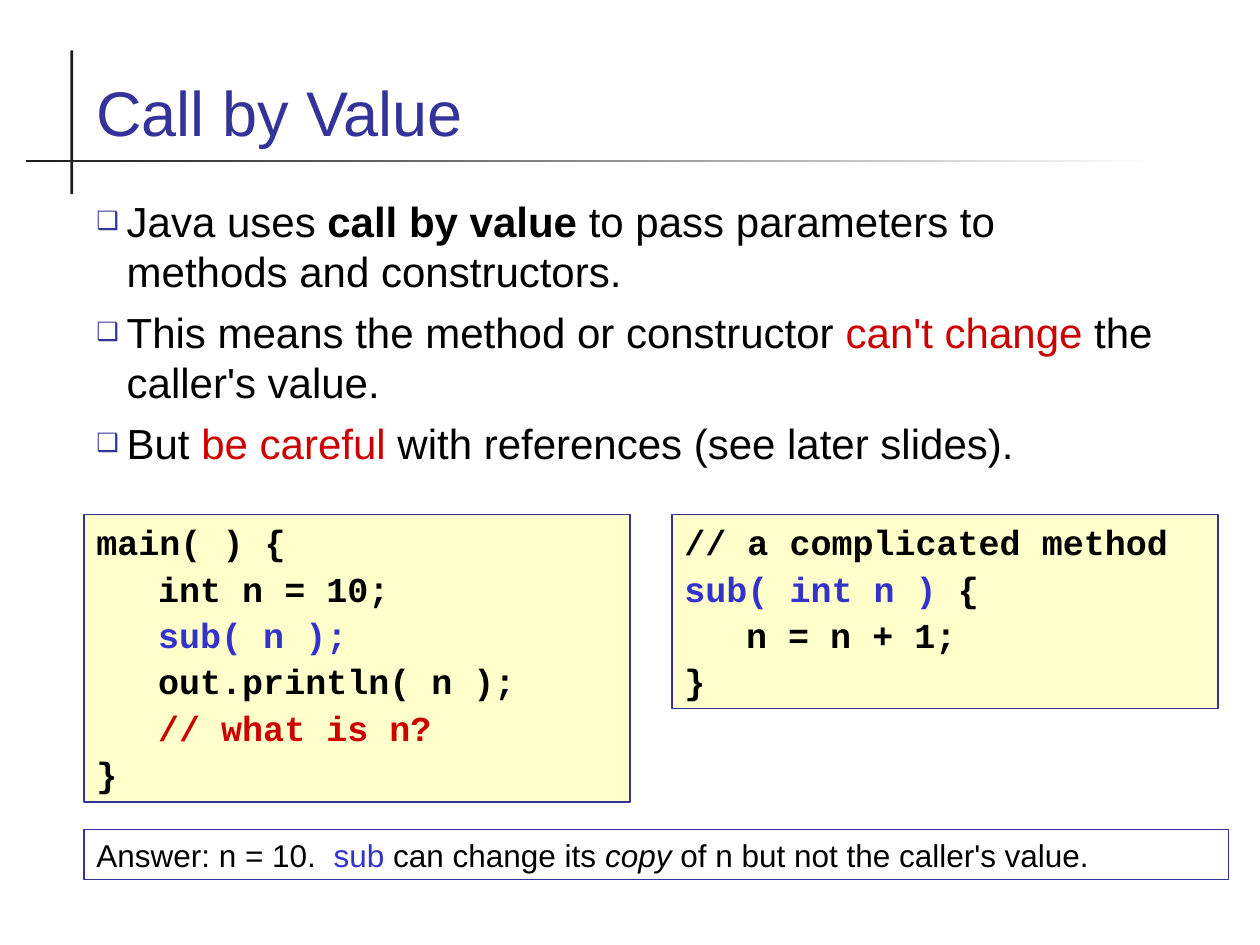
from lxml.etree import SubElement
from pptx import Presentation
from pptx.dml.color import RGBColor
from pptx.enum.shapes import MSO_SHAPE as Shape
from pptx.enum.text import MSO_ANCHOR as Anchor, PP_ALIGN as Align
from pptx.oxml.ns import qn
from pptx.util import Inches, Pt

INK = RGBColor(0x1C, 0x1C, 0x1C)
BLACK = RGBColor(0, 0, 0)
WHITE = RGBColor(0xFF, 0xFF, 0xFF)
NAVY = RGBColor(0x33, 0x33, 0x99)
BLUE = RGBColor(0x33, 0x33, 0xCC)
RED = RGBColor(0xCC, 0, 0)
CREAM = RGBColor(0xFF, 0xFF, 0xCC)

CELL = Inches(1) // 12
LEFT = 8
CODE_TOP = 49
CODE_WIDTH = 52
RULE = 0.28
TAB = Inches(0.49)
HANG = Inches(0.24)

presentation = Presentation()
presentation.slide_width = 120 * CELL
presentation.slide_height = 90 * CELL
slide = presentation.slides.add_slide(presentation.slide_layouts[6])


def add_box(column, row, columns, rows, fill=None, line=None):
    shape = slide.shapes.add_shape(
        Shape.RECTANGLE, *(round(n * CELL) for n in (column, row, columns, rows)))
    shape.shadow.inherit = False
    if fill is None:
        shape.fill.background()
    else:
        shape.fill.solid()
        shape.fill.fore_color.rgb = fill
    if line is None:
        shape.line.fill.background()
    else:
        shape.line.color.rgb = line
        shape.line.width = Pt(0.75)
    return shape


def write(shape, paragraphs, size, font="Arial", color=BLACK, bold=False,
          before=0, anchor=Anchor.TOP, bullet=None):
    frame = shape.text_frame
    frame.word_wrap = True
    frame.vertical_anchor = anchor
    for index, runs in enumerate(paragraphs):
        paragraph = frame.add_paragraph() if index else frame.paragraphs[0]
        paragraph.alignment = Align.LEFT
        if index:
            paragraph.space_before = Pt(before)
        properties = paragraph._p.get_or_add_pPr()
        if bullet:
            properties.set("marL", str(HANG))
            properties.set("indent", str(-HANG))
            bullet_color = SubElement(properties, qn("a:buClr"))
            SubElement(bullet_color, qn("a:srgbClr"), val=str(NAVY))
            SubElement(properties, qn("a:buSzPct"), val="60000")
            SubElement(properties, qn("a:buFont"), typeface=font)
            SubElement(properties, qn("a:buChar"), char=bullet)
        else:
            tabs = SubElement(properties, qn("a:tabLst"))
            SubElement(tabs, qn("a:tab"), pos=str(TAB), algn="l")
        for text, *style in runs:
            run = paragraph.add_run()
            run.text = text
            run.font.name = font
            run.font.size = Pt(size)
            run.font.bold = bold or "bold" in style
            run.font.italic = "italic" in style
            run.font.color.rgb = next((s for s in style if isinstance(s, RGBColor)), color)


add_box(6.7, 4.8, RULE, 13.7, INK)
rule = add_box(2.5, 15.2, 107.9, RULE)
rule.fill.gradient()
rule.fill.gradient_angle = 0
for stop, color in zip(rule.fill.gradient_stops, (INK, WHITE)):
    stop.color.rgb = color

title = add_box(LEFT, 3.4, 104, 11.4)
write(title, [[("Call by Value",)]], 36, color=NAVY, anchor=Anchor.BOTTOM)

points = [
    [("Java uses ",), ("call by value", "bold"),
     (" to pass parameters to methods and constructors.",)],
    [("This means the method or constructor ",), ("can't change", RED),
     (" the caller's value.",)],
    [("But ",), ("be careful", RED), (" with references (see later slides).",)],
]
body = add_box(LEFT, 18, 104, 28)
write(body, points, 24, before=6, bullet="❑")

main_code = [
    [("main( ) {",)],
    [("\tint n = 10;",)],
    [("\t",), ("sub( n );", BLUE)],
    [("\tout.println( n );",)],
    [("\t",), ("// what is n?", RED)],
    [("}",)],
]
sub_code = [
    [("// a complicated method",)],
    [("sub( int n )", BLUE), (" {",)],
    [("\tn = n + 1;",)],
    [("}",)],
]
for column, rows, code in ((LEFT, 27.4, main_code), (64, 18.5, sub_code)):
    listing = add_box(column, CODE_TOP, CODE_WIDTH, rows, CREAM, NAVY)
    write(listing, code, 20, "Courier New", bold=True, before=2.5)

answer = add_box(LEFT, 79, 109, 4.8, line=NAVY)
write(answer, [[("Answer: n = 10.  ",), ("sub", BLUE), (" can change its ",),
                ("copy", "italic"), (" of n but not the caller's value.",)]], 18)

presentation.save("out.pptx")
